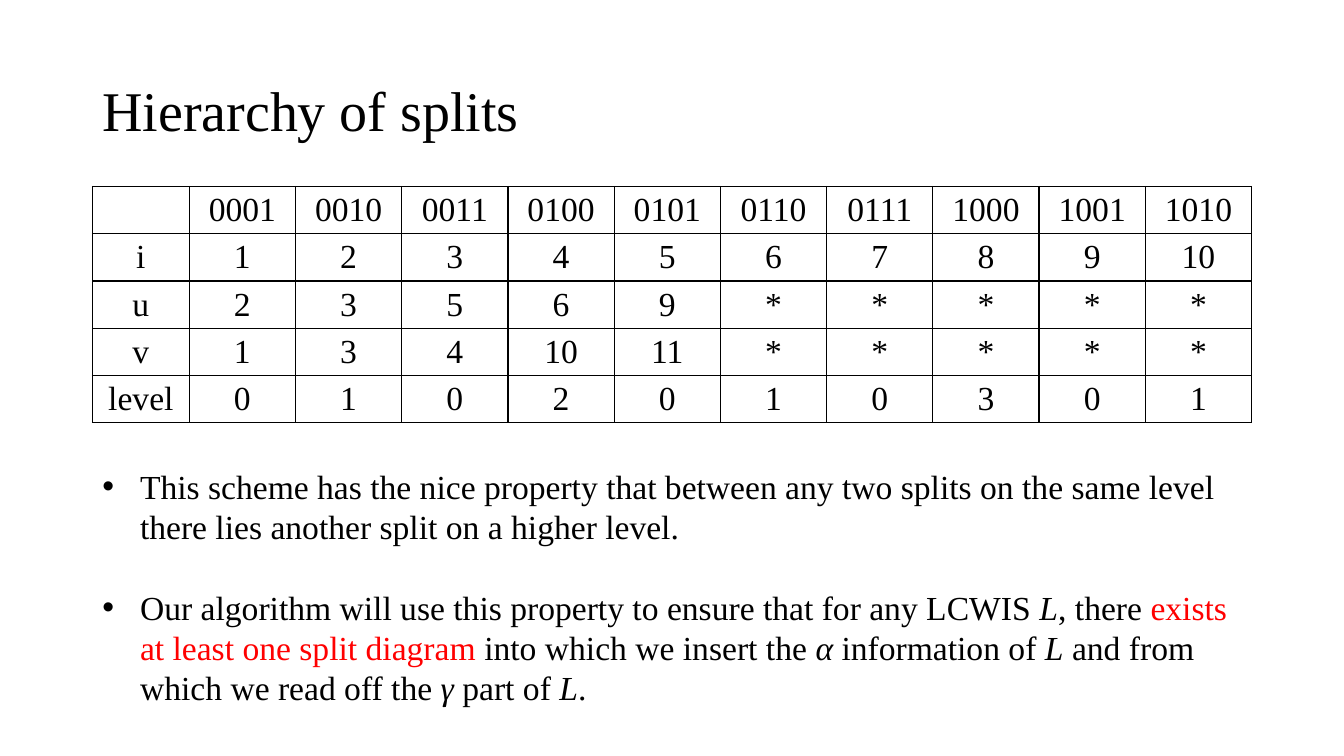
from lxml.etree import SubElement as Sub
from pptx import Presentation
from pptx.dml.color import RGBColor
from pptx.enum.text import MSO_ANCHOR as Anchor, MSO_AUTO_SIZE as Auto, PP_ALIGN as Align
from pptx.oxml import parse_xml
from pptx.oxml.ns import nsdecls, qn
from pptx.util import Cm, Pt

BLACK = RGBColor(0, 0, 0)
RED = RGBColor(255, 0, 0)
FONT = "Times New Roman"

TITLE = "Hierarchy of splits"
ROWS = [
    ["", "0001", "0010", "0011", "0100", "0101", "0110", "0111", "1000", "1001", "1010"],
    ["i", "1", "2", "3", "4", "5", "6", "7", "8", "9", "10"],
    ["u", "2", "3", "5", "6", "9", "*", "*", "*", "*", "*"],
    ["v", "1", "3", "4", "10", "11", "*", "*", "*", "*", "*"],
    ["level", "0", "1", "0", "2", "0", "1", "0", "3", "0", "1"],
]
POINTS = [
    [("This scheme has the nice property that between any two splits on the same level "
      "there lies another split on a higher level.", "")],
    [("Our algorithm will use this property to ensure that for any LCWIS ", ""),
     ("L", "italic"), (", there ", ""),
     ("exists at least one split diagram", "red"),
     (" into which we insert the ", ""), ("α", "italic"),
     (" information of ", ""), ("L", "italic"),
     (" and from which we read off the ", ""), ("γ", "italic"),
     (" part of ", ""), ("L", "italic"), (".", "")],
]

LEFT, WIDTH = Cm(2.33), Cm(29.21)
HEAD, COL, ROW = Cm(2.44), Cm(2.677), Cm(1.19)
INDENT = Cm(0.95)


def style(font, size=24, color=BLACK):
    font.name = FONT
    font.size = Pt(size)
    font.color.rgb = color


def border(cell):
    props = cell._tc.get_or_add_tcPr()
    for spot, side in enumerate("LRTB"):
        line = parse_xml(
            f'<a:ln{side} {nsdecls("a")} w="12700"><a:solidFill>'
            f'<a:srgbClr val="{BLACK}"/></a:solidFill></a:ln{side}>')
        props.insert(spot, line)


def bullet(para):
    props = para._p.get_or_add_pPr()
    props.set("marL", str(INDENT))
    props.set("indent", str(-INDENT))
    Sub(props, qn("a:buFont")).set("typeface", "Arial")
    Sub(props, qn("a:buChar")).set("char", "•")


def add_title(slide):
    title = slide.shapes.title
    title.left, title.top, title.width, title.height = LEFT, Cm(1.01), WIDTH, Cm(3.68)
    frame = title.text_frame
    frame.text = TITLE
    frame.vertical_anchor = Anchor.MIDDLE
    para = frame.paragraphs[0]
    para.alignment = Align.LEFT
    para.line_spacing = 0.9
    style(para.runs[0].font, 40)


def add_grid(slide):
    shape = slide.shapes.add_table(
        len(ROWS), len(ROWS[0]), LEFT, Cm(4.7), WIDTH, ROW * len(ROWS))
    table = shape.table
    table.first_row = table.horz_banding = False
    for spot, col in enumerate(table.columns):
        col.width = COL if spot else HEAD
    for row, texts in zip(table.rows, ROWS):
        row.height = ROW
        for cell, text in zip(row.cells, texts):
            cell.fill.background()
            border(cell)
            cell.text = text
            if text == "*":
                cell.vertical_anchor = Anchor.MIDDLE
            para = cell.text_frame.paragraphs[0]
            para.alignment = Align.CENTER
            for run in para.runs:
                style(run.font)


def add_points(slide):
    frame = slide.shapes.add_textbox(LEFT, Cm(11.61), WIDTH, Cm(6.4)).text_frame
    frame.word_wrap = True
    frame.auto_size = Auto.SHAPE_TO_FIT_TEXT
    for spot, parts in enumerate(POINTS):
        para = frame.add_paragraph() if spot else frame.paragraphs[0]
        if spot:
            para.space_before = Pt(28.8)
        bullet(para)
        for text, look in parts:
            run = para.add_run()
            run.text = text
            style(run.font, color=RED if look == "red" else BLACK)
            run.font.italic = look == "italic"


def main():
    deck = Presentation()
    deck.slide_width, deck.slide_height = Cm(33.87), Cm(19.05)
    slide = deck.slides.add_slide(deck.slide_layouts[5])
    add_title(slide)
    add_grid(slide)
    add_points(slide)
    deck.save("out.pptx")


if __name__ == "__main__":
    main()
